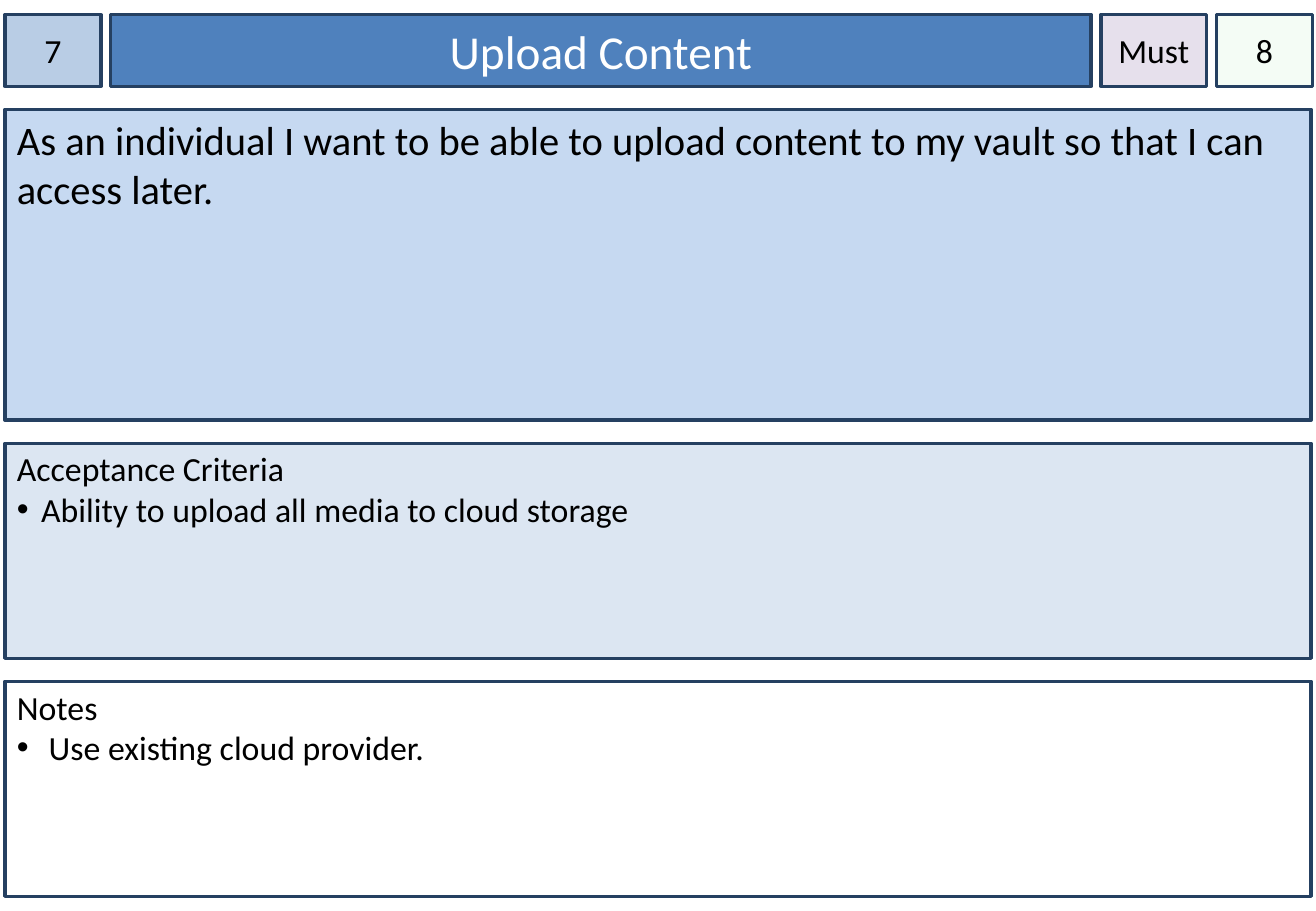
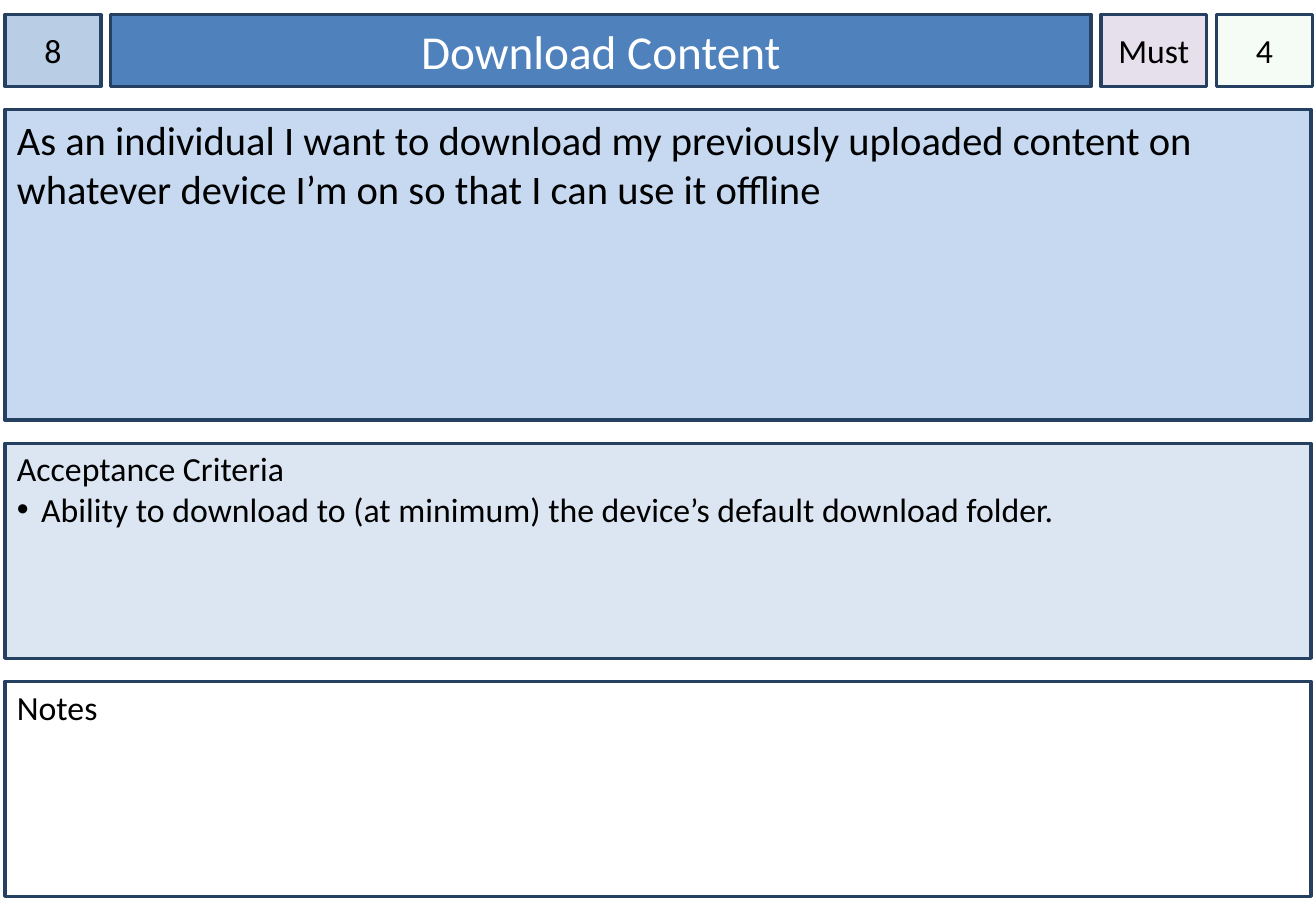
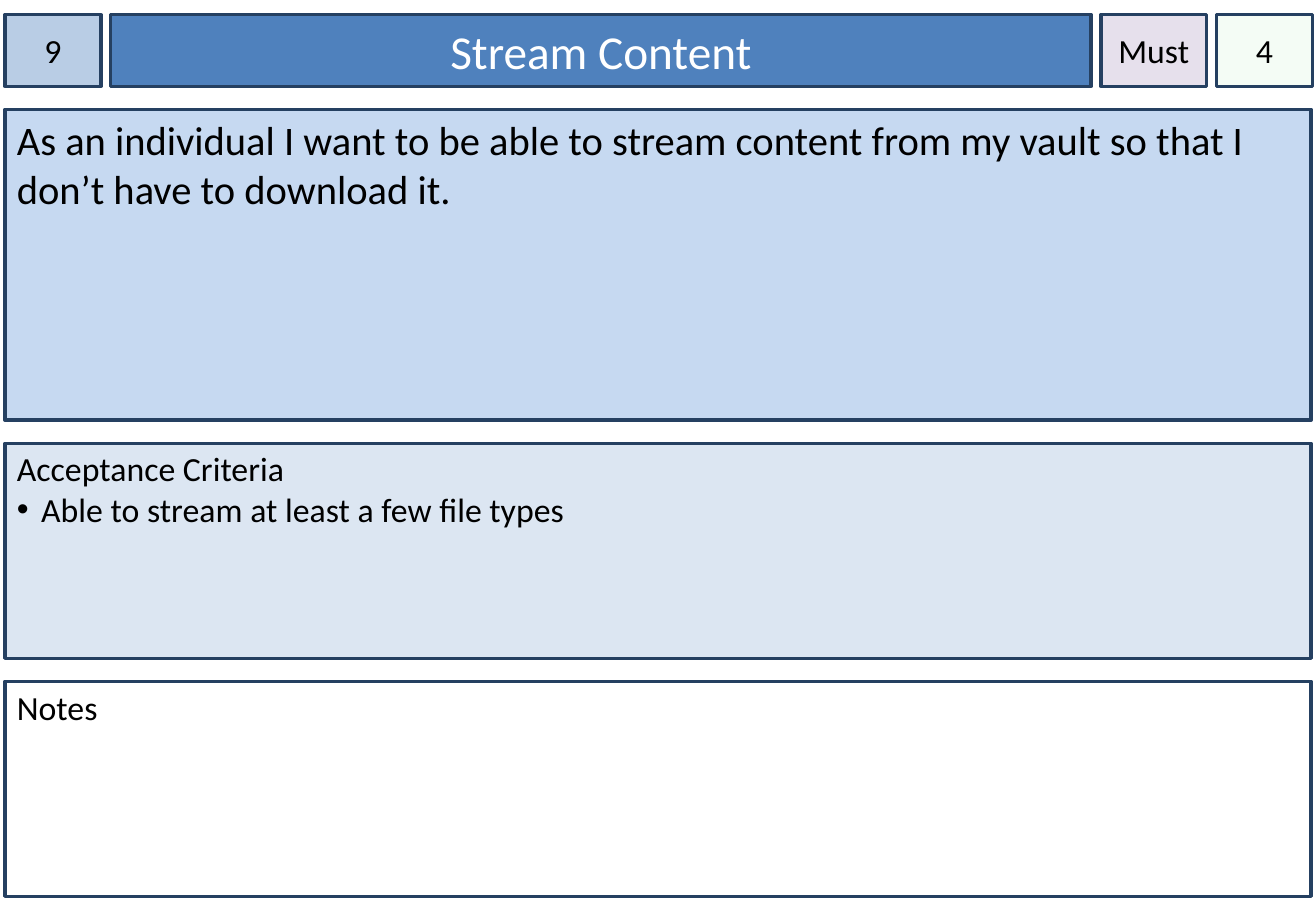
from itertools import accumulate

from lxml.etree import SubElement
from pptx import Presentation
from pptx.dml.color import RGBColor
from pptx.enum.shapes import MSO_SHAPE
from pptx.enum.text import MSO_ANCHOR, PP_ALIGN
from pptx.oxml.ns import qn
from pptx.util import Inches, Pt

STORIES = [
    dict(number="7", title="Upload Content", priority="Must", points="8",
         story="As an individual I want to be able to upload content to my vault "
               "so that I can access later.",
         criteria=["Ability to upload all media to cloud storage"],
         notes=[" Use existing cloud provider."]),
    dict(number="8", title="Download Content", priority="Must", points="4",
         story="As an individual I want to download my previously uploaded content "
               "on whatever device I’m on so that I can use it offline",
         criteria=["Ability to download to (at minimum) the device’s default "
                   "download folder."],
         notes=[]),
    dict(number="9", title="Stream Content", priority="Must", points="4",
         story="As an individual I want to be able to stream content from my vault "
               "so that I don’t have to download it.",
         criteria=["Able to stream at least a few file types"],
         notes=[]),
]

SLIDE_W, SLIDE_H = 10.83, 7.5
FONT, INK, WHITE, BORDER = "Calibri", "000000", "FFFFFF", "254061"
FILLS = dict(number="B9CDE5", title="4F81BD", priority="E6E0EC", points="CCF0CD",
             story="C6D9F1", criteria="DCE6F2", notes=WHITE)
LEFT, TOP, COL_GAP, ROW_GAP = 0.04, 0.12, 0.08, 0.19
COLS = [0.79, 8.07, 0.87, 0.79]
ROWS = [0.59, 2.56, 1.77, 1.77]
FULL_W = SLIDE_W - 2 * LEFT
BADGE_INSETS = (0, 0.05, 0, 0.05)
PANEL_INSETS = (0.1, 0.04, 0.1, 0.05)
TEXT_INSETS = (0.1, 0.05, 0.1, 0.05)
BULLET_INDENT = 0.2


def rgb(value):
    """Turn a hex string into a colour."""
    return RGBColor.from_string(value)


def starts(first, sizes, gap):
    """Return where each track of a row or column begins."""
    return list(accumulate((size + gap for size in sizes[:-1]), initial=first))


def add_box(s, at, fill, insets, anchor=MSO_ANCHOR.TOP, wrap=True):
    """Add a bordered rectangle and return it."""
    sp = s.shapes.add_shape(MSO_SHAPE.RECTANGLE, *map(Inches, at))
    sp.shadow.inherit = False
    sp.fill.solid()
    sp.fill.fore_color.rgb = rgb(fill)
    sp.line.color.rgb = rgb(BORDER)
    sp.line.width = Pt(2)
    tf = sp.text_frame
    tf.word_wrap = wrap
    tf.vertical_anchor = anchor
    (tf.margin_left, tf.margin_top,
     tf.margin_right, tf.margin_bottom) = map(Inches, insets)
    return sp


def write(p, text, size, color=INK, align=PP_ALIGN.LEFT):
    """Put one styled run in a paragraph."""
    p.alignment = align
    r = p.add_run()
    r.text = text
    r.font.name, r.font.size = FONT, Pt(size)
    r.font.color.rgb = rgb(color)


def add_bullet(p):
    """Give a paragraph a round bullet with a hanging indent."""
    pPr = p._p.get_or_add_pPr()
    pPr.set("marL", str(Inches(BULLET_INDENT)))
    pPr.set("indent", str(-Inches(BULLET_INDENT)))
    SubElement(pPr, qn("a:buFont")).set("typeface", "Arial")
    SubElement(pPr, qn("a:buChar")).set("char", "•")


def set_opacity(sp, percent):
    """Make a solid fill partly transparent."""
    color = sp._element.spPr.find(qn("a:solidFill"))[0]
    SubElement(color, qn("a:alpha")).set("val", str(percent * 1000))


def add_header(s, card):
    """Draw the top row: number, title, priority and points."""
    keys = ("number", "title", "priority", "points")
    for key, x, w in zip(keys, starts(LEFT, COLS, COL_GAP), COLS):
        is_title = key == "title"
        sp = add_box(s, (x, TOP, w, ROWS[0]), FILLS[key],
                     TEXT_INSETS if is_title else BADGE_INSETS,
                     MSO_ANCHOR.MIDDLE, wrap=key != "priority")
        size, color = (28, WHITE) if is_title else (20, INK)
        write(sp.text_frame.paragraphs[0], card[key], size, color, PP_ALIGN.CENTER)
        if key == "points":
            set_opacity(sp, 20)


def add_panels(s, card):
    """Draw the story and the two headed lists below it."""
    story_y, criteria_y, notes_y = starts(TOP, ROWS, ROW_GAP)[1:]
    sp = add_box(s, (LEFT, story_y, FULL_W, ROWS[1]), FILLS["story"], TEXT_INSETS)
    write(sp.text_frame.paragraphs[0], card["story"], 24)
    for key, heading, y, h in (("criteria", "Acceptance Criteria", criteria_y, ROWS[2]),
                               ("notes", "Notes", notes_y, ROWS[3])):
        tf = add_box(s, (LEFT, y, FULL_W, h), FILLS[key], PANEL_INSETS).text_frame
        write(tf.paragraphs[0], heading, 20)
        for item in card[key]:
            p = tf.add_paragraph()
            write(p, item, 20)
            add_bullet(p)


prs = Presentation()
prs.slide_width, prs.slide_height = Inches(SLIDE_W), Inches(SLIDE_H)
for card in STORIES:
    s = prs.slides.add_slide(prs.slide_layouts[6])
    add_header(s, card)
    add_panels(s, card)
prs.save("out.pptx")
